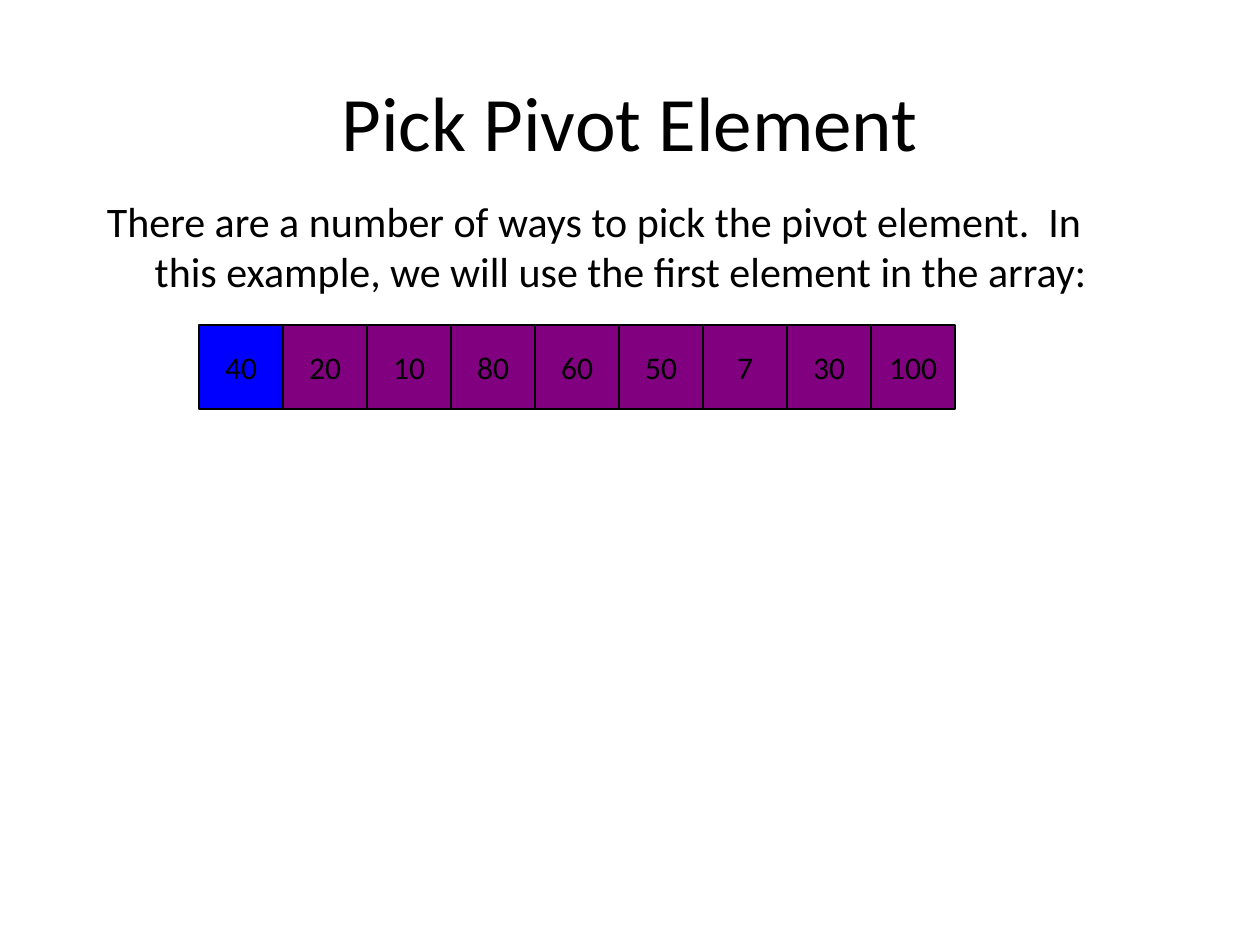
from pptx import Presentation
from pptx.dml.color import RGBColor
from pptx.enum.shapes import MSO_SHAPE
from pptx.enum.text import MSO_ANCHOR, PP_ALIGN
from pptx.util import Inches, Pt

RECT = MSO_SHAPE.RECTANGLE
MIDDLE = MSO_ANCHOR.MIDDLE
CENTER = PP_ALIGN.CENTER
LEFT = PP_ALIGN.LEFT

BLACK = RGBColor(0x00, 0x00, 0x00)
BLUE = RGBColor(0x00, 0x00, 0xFF)
PURPLE = RGBColor(0x80, 0x00, 0x80)

FONT = "Calibri"
TITLE = "Pick Pivot Element"
INTRO = ("There are a number of ways to pick the pivot element.  "
         "In this example, we will use the first element in the array:")
VALUES = [40, 20, 10, 80, 60, 50, 7, 30, 100]
PIVOT = 0
SIDE = 2 / 3


def set_text(shape, text, size, align):
    frame = shape.text_frame
    frame.text = text
    para = frame.paragraphs[0]
    para.alignment = align
    font = para.runs[0].font
    font.name = FONT
    font.size = Pt(size)
    font.color.rgb = BLACK
    return para


def add_title(slide):
    title = slide.shapes.title
    title.left, title.top = Inches(0.75), Inches(0.33)
    title.width, title.height = Inches(8.5), Inches(1.25)
    title.text_frame.vertical_anchor = MIDDLE
    set_text(title, TITLE, 44, CENTER)


def add_intro(slide):
    box = slide.shapes.add_textbox(
        Inches(0.75), Inches(1.5), Inches(8.5), Inches(4.5))
    box.text_frame.word_wrap = True
    para = set_text(box, INTRO, 24, LEFT)
    props = para._p.get_or_add_pPr()
    props.set("marL", str(Inches(0.38)))
    props.set("indent", str(-Inches(0.38)))


def add_cell(slide, left, top, value, fill):
    cell = slide.shapes.add_shape(
        RECT, Inches(left), Inches(top), Inches(SIDE), Inches(SIDE))
    cell.shadow.inherit = False
    cell.fill.solid()
    cell.fill.fore_color.rgb = fill
    cell.line.color.rgb = BLACK
    cell.line.width = Pt(0.75)
    cell.text_frame.word_wrap = False
    cell.text_frame.vertical_anchor = MIDDLE
    set_text(cell, str(value), 18, CENTER)


def add_array(slide, left, top):
    for index, value in enumerate(VALUES):
        fill = BLUE if index == PIVOT else PURPLE
        add_cell(slide, left + index * SIDE, top, value, fill)


def main():
    deck = Presentation()
    deck.slide_width = Inches(10)
    deck.slide_height = Inches(7.5)
    slide = deck.slides.add_slide(deck.slide_layouts[5])
    add_title(slide)
    add_intro(slide)
    add_array(slide, 1.58, 2.58)
    deck.save("out.pptx")


if __name__ == "__main__":
    main()
